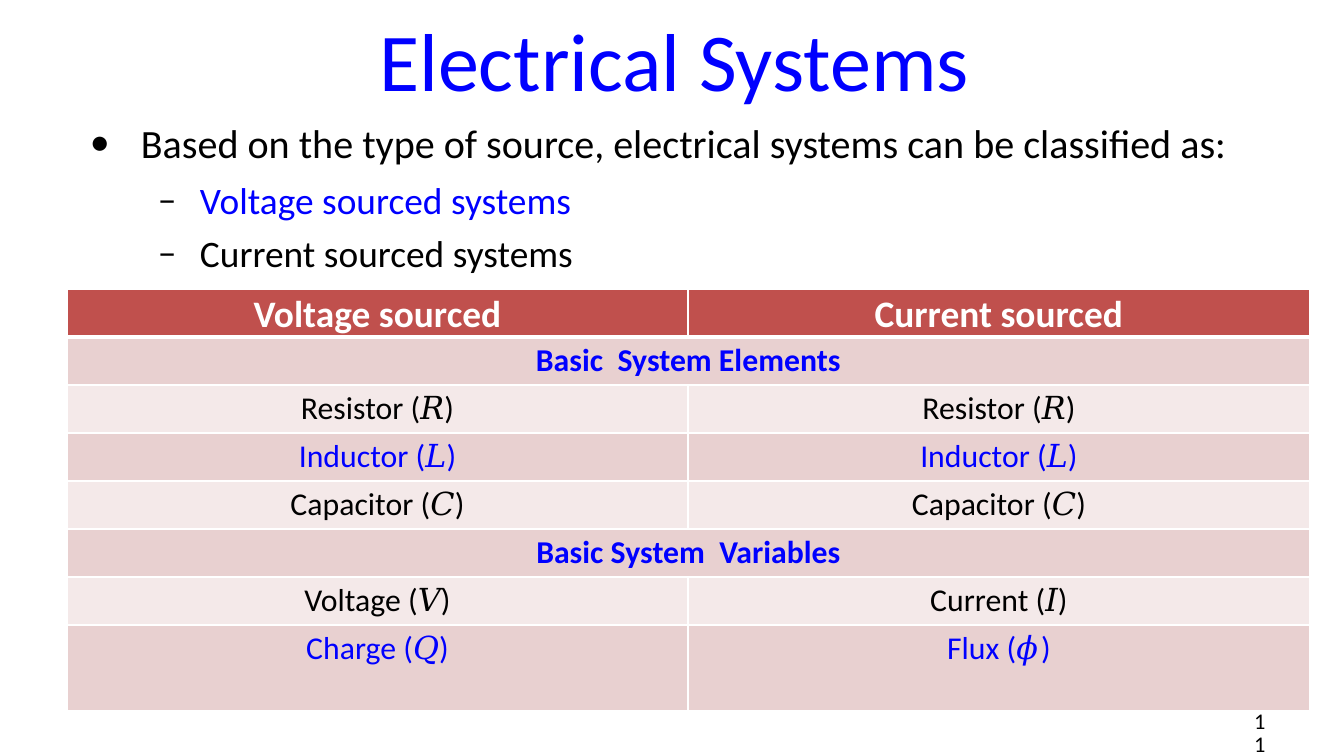
import pptx
import pptx.util
import pptx.dml.color
import pptx.enum.text
import pptx.oxml
import pptx.oxml.ns
import lxml.etree

PX = 6804  # EMU per px
Pt = pptx.util.Pt
CENTER = pptx.enum.text.PP_ALIGN.CENTER
BLUE, BLACK, WHITE = "0000FF", "000000", "FFFFFF"
RED, PINK, PALE = "C0504D", "E8D0D0", "F4E9E9"


def rgb(value):
    return pptx.dml.color.RGBColor.from_string(value)


def write(p, parts, size, color, bold=False):
    """Add runs to a paragraph; every second part is a math symbol."""
    for i, part in enumerate(parts):
        r = p.add_run()
        r.text = part
        r.font.name = "Times New Roman" if i % 2 else "Calibri"
        r.font.size = Pt(size)
        r.font.bold = bold
        r.font.color.rgb = rgb(color)


prs = pptx.Presentation()
prs.slide_width, prs.slide_height = 1344 * PX, 756 * PX
s = prs.slides.add_slide(prs.slide_layouts[6])

# Text boxes: title, bullet list, page number
frames = []
for x, y, w, h, top in [(378, 5, 593, 104, 3), (89, 105, 1167, 172, 13),
                        (1250, 711, 19, 27, 0)]:
    tf = s.shapes.add_textbox(x * PX, y * PX, w * PX, h * PX).text_frame
    tf.word_wrap = True
    tf.margin_left = tf.margin_right = tf.margin_bottom = 0
    tf.margin_top = top * PX
    frames.append(tf)
title, body, number = frames

title.vertical_anchor = pptx.enum.text.MSO_ANCHOR.MIDDLE
p = title.paragraphs[0]
p.alignment = CENTER
p.space_before = Pt(1.3)
write(p, ["Electrical Systems"], 44, BLUE)

p = number.paragraphs[0]
p.line_spacing = Pt(12.4)
p._p.get_or_add_pPr().set("marL", str(4 * PX))
write(p, ["11"], 12, BLACK)

# Bullets: text, level, size, colour, space before, left margin, hanging indent, mark
bullets = [
    ("Based on the type of source, electrical systems can be classified as:",
     0, 21.5, BLACK, 7.1, 52, 51, "•"),
    ("Voltage sourced systems", 1, 20, BLUE, 5.8, 111, 42, "–"),
    ("Current sourced systems", 1, 20, BLACK, 4.5, 111, 42, "–"),
]
for i, (text, level, size, color, before, left, hang, mark) in enumerate(bullets):
    p = body.add_paragraph() if i else body.paragraphs[0]
    p.level = level
    p.space_before = Pt(before)
    write(p, [text], size, color)
    pPr = p._p.get_or_add_pPr()
    pPr.set("marL", str(left * PX))
    pPr.set("indent", str(-hang * PX))
    bu = lxml.etree.SubElement(pPr, pptx.oxml.ns.qn("a:buClr"))
    lxml.etree.SubElement(bu, pptx.oxml.ns.qn("a:srgbClr")).set("val", BLACK)
    lxml.etree.SubElement(pPr, pptx.oxml.ns.qn("a:buFont")).set("typeface", "Calibri")
    lxml.etree.SubElement(pPr, pptx.oxml.ns.qn("a:buChar")).set("char", mark)

# Table: one cell in a row means it spans both columns
rows = [
    [["Voltage sourced"], ["Current sourced"]],
    [["Basic  System Elements"]],
    [["Resistor (", "𝑅", ")"], ["Resistor (", "𝑅", ")"]],
    [["Inductor (", "𝐿", ")"], ["Inductor (", "𝐿", ")"]],
    [["Capacitor (", "𝐶", ")"], ["Capacitor (", "𝐶", ")"]],
    [["Basic System  Variables"]],
    [["Voltage (", "𝑉", ")"], ["Current (", "𝐼", ")"]],
    [["Charge (", "𝑄", ")"], ["Flux (", "𝜙", ")"]],
]
heights = [48] * 7 + [86]
table = s.shapes.add_table(8, 2, 67 * PX, 289 * PX, 1243 * PX, sum(heights) * PX).table
for i, width in enumerate((621, 622)):
    table.columns[i].width = width * PX

for i, row in enumerate(rows):
    table.rows[i].height = heights[i] * PX
    header, section = i == 0, len(row) == 1
    fill = RED if header else PINK if i % 2 else PALE
    color = WHITE if header else BLUE if i % 2 else BLACK
    if section:
        table.cell(i, 0).merge(table.cell(i, 1))
    for j in range(2):
        cell = table.cell(i, j)
        cell.margin_left = cell.margin_right = cell.margin_bottom = 0
        cell.margin_top = (3 if header else 4) * PX
        if j < len(row):
            p = cell.text_frame.paragraphs[0]
            p.alignment = CENTER
            p.space_before = Pt(1.9)
            write(p, row[j], 20 if header else 17, color, header or section)
        # Borders come before the fill in the cell properties
        tcPr = cell._tc.get_or_add_tcPr()
        for side in ("lnL", "lnR", "lnT", "lnB"):
            thick = (i, side) in [(0, "lnB"), (1, "lnT")]
            ln = lxml.etree.SubElement(tcPr, pptx.oxml.ns.qn("a:" + side))
            ln.set("w", str(Pt(3 if thick else 1)))
            solid = lxml.etree.SubElement(ln, pptx.oxml.ns.qn("a:solidFill"))
            lxml.etree.SubElement(solid, pptx.oxml.ns.qn("a:srgbClr")).set("val", WHITE)
        cell.fill.solid()
        cell.fill.fore_color.rgb = rgb(fill)

prs.save("out.pptx")
